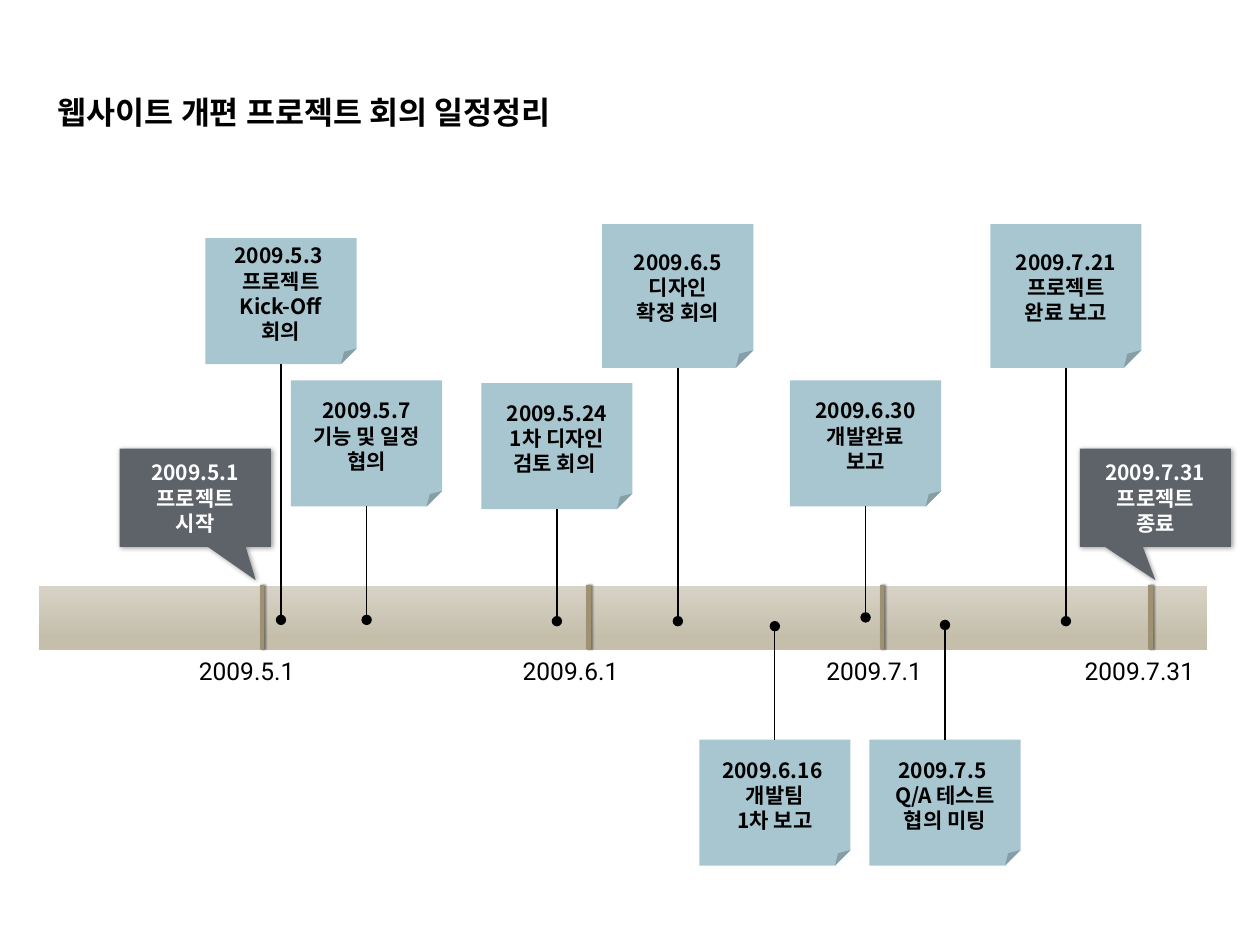
"""Build a project meeting timeline slide."""
from lxml.etree import SubElement
from pptx import Presentation
from pptx.dml.color import RGBColor
from pptx.enum.shapes import MSO_CONNECTOR, MSO_SHAPE
from pptx.enum.text import MSO_ANCHOR, PP_ALIGN
from pptx.oxml.ns import qn
from pptx.util import Inches, Pt


def write(sp, text, font="Noto Sans CJK KR", size=12, color="000000",
          bold=True, align=PP_ALIGN.CENTER, anchor=MSO_ANCHOR.MIDDLE):
    """Fill a shape with formatted lines of text."""
    tf = sp.text_frame
    tf.word_wrap = True
    tf.vertical_anchor = anchor
    tf.text = text
    for p in tf.paragraphs:
        p.alignment = align
        for r in p.runs:
            r.font.name = font
            r.font.size = Pt(size)
            r.font.bold = bold
            r.font.color.rgb = RGBColor.from_string(color)
            SubElement(r.font._element, qn("a:ea"), typeface=font)


def set_effects(sp, blur=0, angle=None):
    """Replace the theme effects, with an outer shadow if an angle is given."""
    effects = SubElement(sp._element.spPr, qn("a:effectLst"))
    if angle is not None:
        shadow = SubElement(effects, qn("a:outerShdw"), blurRad=str(Pt(blur)),
                            dist=str(Pt(1)), dir=str(angle * 60000),
                            algn="tl", rotWithShape="0")
        color = SubElement(shadow, qn("a:srgbClr"), val="000000")
        SubElement(color, qn("a:alpha"), val="40000")


prs = Presentation()
prs.slide_width, prs.slide_height = Inches(10), Inches(7.5)
s = prs.slides.add_slide(prs.slide_layouts[5])

title = s.shapes.title
title.left, title.top = Inches(0.36), Inches(0.69)
title.width, title.height = Inches(4.74), Inches(0.4)
write(title, "웹사이트 개편 프로젝트 회의 일정정리", size=18,
      align=PP_ALIGN.LEFT, anchor=MSO_ANCHOR.TOP)

bar = s.shapes.add_shape(MSO_SHAPE.RECTANGLE, Inches(0.31), Inches(4.65),
                         Inches(9.27), Inches(0.51))
bar.shadow.inherit = False
bar.line.fill.background()
bar.fill.gradient()
bar.fill.gradient_angle = 270
for stop, position, color in zip(bar.fill.gradient_stops, (0, 0.81),
                                 ("D8D3C7", "C5BEAB")):
    stop.position = position
    stop.color.rgb = RGBColor.from_string(color)

milestones = [
    ("2009.5.1", 2.08, 1.48),
    ("2009.6.1", 4.67, 4.05),
    ("2009.7.1", 7, 6.46),
    ("2009.7.31", 9.13, 8.51),
]
for date, x, left in milestones:
    tick = s.shapes.add_connector(MSO_CONNECTOR.STRAIGHT, Inches(x),
                                  Inches(4.64), Inches(x), Inches(5.15))
    tick.line.color.rgb = RGBColor.from_string("9E9273")
    tick.line.width = Pt(2.75)
    set_effects(tick, blur=1, angle=0)
    label = s.shapes.add_textbox(Inches(left), Inches(5.16), Inches(1.11),
                                 Inches(0.34))
    write(label, date, font="Roboto", size=14, bold=False,
          align=PP_ALIGN.LEFT, anchor=MSO_ANCHOR.TOP)

meetings = [
    (2.31, 3.02, 1, 4.92, "2009.5.7\n기능 및 일정\n협의"),
    (3.82, 3.04, 1, 4.93, "2009.5.24\n1차 디자인\n검토 회의 "),
    (4.78, 1.78, 1.14, 4.93, "2009.6.5\n디자인\n확정 회의"),
    (5.55, 5.87, 1, 4.97, "2009.6.16 \n개발팀\n1차 보고"),
    (1.63, 1.89, 1, 4.92, "2009.5.3 \n프로젝트\nKick-Off\n회의"),
    (6.9, 5.87, 1, 4.96, "2009.7.5 \nQ/A 테스트\n협의 미팅"),
    (7.86, 1.78, 1.14, 4.93, "2009.7.21\n프로젝트\n완료 보고"),
    (6.27, 3.02, 1, 4.9, "2009.6.30\n개발완료\n보고"),
]
for left, top, height, dot_y, text in meetings:
    note = s.shapes.add_shape(MSO_SHAPE.FOLDED_CORNER, Inches(left),
                              Inches(top), Inches(1.2), Inches(height))
    fold = note._element.spPr.find(qn("a:prstGeom")).find(qn("a:avLst"))
    SubElement(fold, qn("a:gd"), name="adj", fmla="val 12300")
    note.shadow.inherit = False
    note.fill.solid()
    note.fill.fore_color.rgb = RGBColor.from_string("A8C6D0")
    note.line.fill.background()
    write(note, text)

    x = Inches(left + 0.6)
    edge_y = top + height if top < dot_y else top
    stem = s.shapes.add_connector(MSO_CONNECTOR.STRAIGHT, x, Inches(edge_y),
                                  x, Inches(dot_y))
    stem.line.color.rgb = RGBColor.from_string("000000")
    stem.line.width = Pt(0.75)
    SubElement(stem.line._get_or_add_ln(), qn("a:tailEnd"), type="oval")
    set_effects(stem)

callouts = [
    (0.95, 0.4, "2009.5.1\n프로젝트\n시작"),
    (8.57, 0, "2009.7.31\n프로젝트\n종료"),
]
for left, tip, text in callouts:
    callout = s.shapes.add_shape(MSO_SHAPE.RECTANGULAR_CALLOUT, Inches(left),
                                 Inches(3.56), Inches(1.2), Inches(0.78))
    callout.adjustments[0] = tip
    callout.adjustments[1] = 0.84
    callout.fill.solid()
    callout.fill.fore_color.rgb = RGBColor.from_string("5E636A")
    callout.line.fill.background()
    set_effects(callout, blur=3, angle=45)
    write(callout, text, color="FFFFFF")

prs.save("out.pptx")
